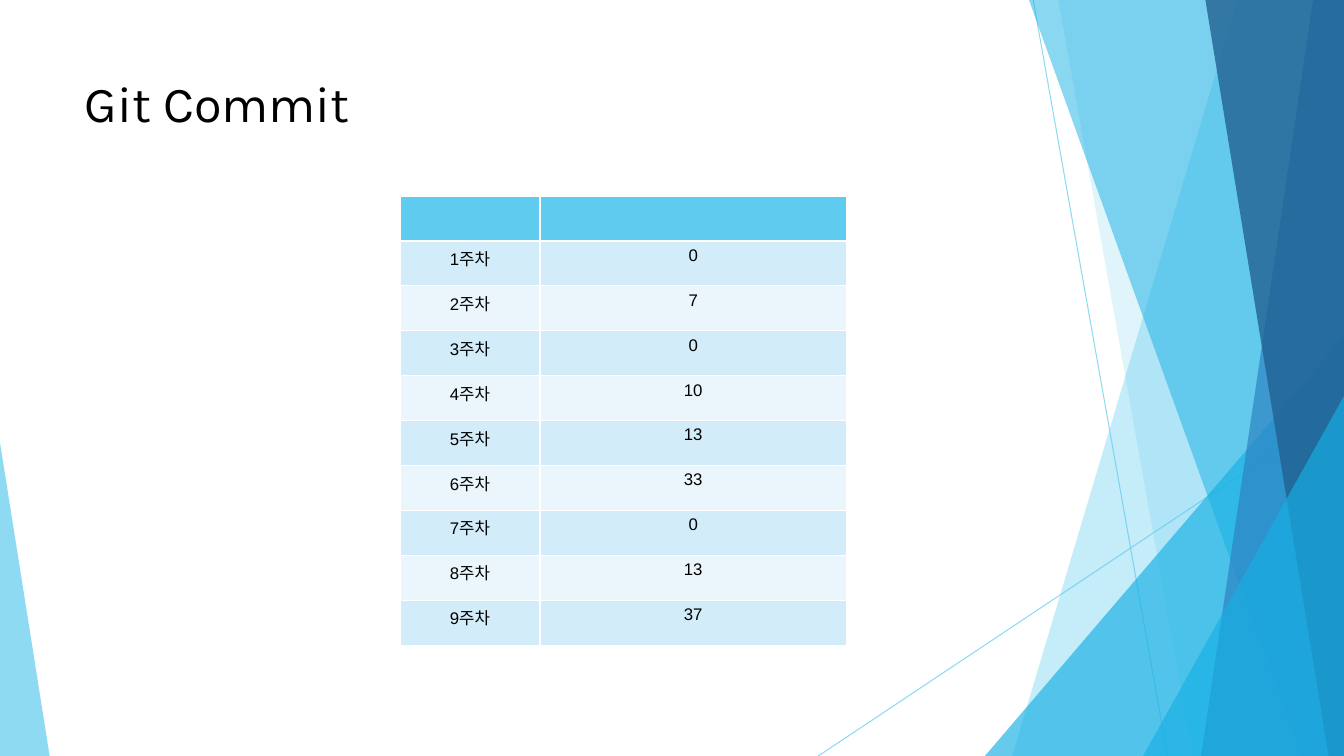
from lxml import etree
from pptx import Presentation
from pptx.dml.color import RGBColor
from pptx.enum.shapes import MSO_CONNECTOR, MSO_SHAPE
from pptx.enum.text import MSO_ANCHOR, PP_ALIGN
from pptx.oxml.ns import qn
from pptx.util import Pt

TRIANGLE = MSO_SHAPE.ISOSCELES_TRIANGLE
STRAIGHT = MSO_CONNECTOR.STRAIGHT
TOP = MSO_ANCHOR.TOP
LEFT, CENTER = PP_ALIGN.LEFT, PP_ALIGN.CENTER

THEME = {
    "sky": "5FCBEF", "cyan": "17B0E4", "blue": "2E83C3", "navy": "226292",
    "bands": ("D2ECF9", "EAF6FC"), "text": "000000",
    "title": {"name": "Karla", "size": Pt(36), "bold": False},
    "cell": {"name": "Arial", "size": Pt(12), "bold": False},
}
WIDTH, HEIGHT = 960, 540


def paint(fill, color, opacity=100):
    fill.solid()
    fill.fore_color.rgb = RGBColor.from_string(color)
    if opacity < 100:
        for tint in fill._xPr.iter(qn("a:srgbClr")):
            etree.SubElement(tint, qn("a:alpha")).set("val", str(opacity * 1000))


def write(frame, text, style, align):
    para = frame.paragraphs[0]
    para.alignment = align
    span = para.add_run()
    span.text = text
    for name, value in THEME[style].items():
        setattr(span.font, name, value)
    span.font.color.rgb = RGBColor.from_string(THEME["text"])


deck = Presentation()
deck.slide_width, deck.slide_height = Pt(WIDTH), Pt(HEIGHT)
page = deck.slides.add_slide(deck.slide_layouts[5])

for ends in [(738, 0, 834, HEIGHT), (WIDTH, 290, 584.5, HEIGHT)]:
    ray = page.shapes.add_connector(STRAIGHT, *map(Pt, ends))
    ray.line.width = Pt(0.75)
    paint(ray.line.fill, THEME["sky"], 70)
    etree.SubElement(ray._element.spPr, qn("a:effectLst"))

facets = [
    ("band", (884, 723), "sky", 36),
    ("band", (756, 852), "sky", 20),
    ("triangle", (703.5, 240, 256.5, 300, 1), "cyan", 66),
    ("band", (735, 929.5), "cyan", 50),
    ("band", (938, 858), "blue", 70),
    ("band", (861, 949), "navy", 80),
    ("triangle", (816.5, 283, 143.5, 257, 1), "cyan", 66),
    ("triangle", (0, 316, 35.5, 224, 0), "sky", 70),
]
for kind, place, color, opacity in facets:
    if kind == "band":
        top_x, bottom_x = place
        outline = page.shapes.build_freeform(Pt(top_x), 0)
        corners = [(WIDTH, 0), (WIDTH, HEIGHT), (bottom_x, HEIGHT)]
        outline.add_line_segments([(Pt(x), Pt(y)) for x, y in corners])
        facet = outline.convert_to_shape()
    else:
        *bounds, apex = place
        facet = page.shapes.add_shape(TRIANGLE, *map(Pt, bounds))
        facet.adjustments[0] = apex
    facet.shadow.inherit = False
    facet.line.fill.background()
    paint(facet.fill, THEME[color], opacity)

title = page.shapes.title
title_box = {"left": 53.5, "top": 48, "width": 677, "height": 104}
for name, value in title_box.items():
    setattr(title, name, Pt(value))
title.text_frame.vertical_anchor = TOP
write(title.text_frame, "Git Commit", "title", LEFT)

commits = [0, 7, 0, 10, 13, 33, 0, 13, 37]
column_widths = [100, 219]
row_height = 32.1
row_count = len(commits) + 1
commit_table = page.shapes.add_table(
    row_count, len(column_widths), Pt(285.7), Pt(140),
    Pt(sum(column_widths)), Pt(row_height * row_count)).table
for column, width in zip(commit_table.columns, column_widths):
    column.width = Pt(width)
for row in commit_table.rows:
    row.height = Pt(row_height)
for cell in commit_table.rows[0].cells:
    paint(cell.fill, THEME["sky"])
for week, count in enumerate(commits, 1):
    for cell, text in zip(commit_table.rows[week].cells, (f"{week}주차", str(count))):
        paint(cell.fill, THEME["bands"][(week - 1) % 2])
        write(cell.text_frame, text, "cell", CENTER)

deck.save("out.pptx")
